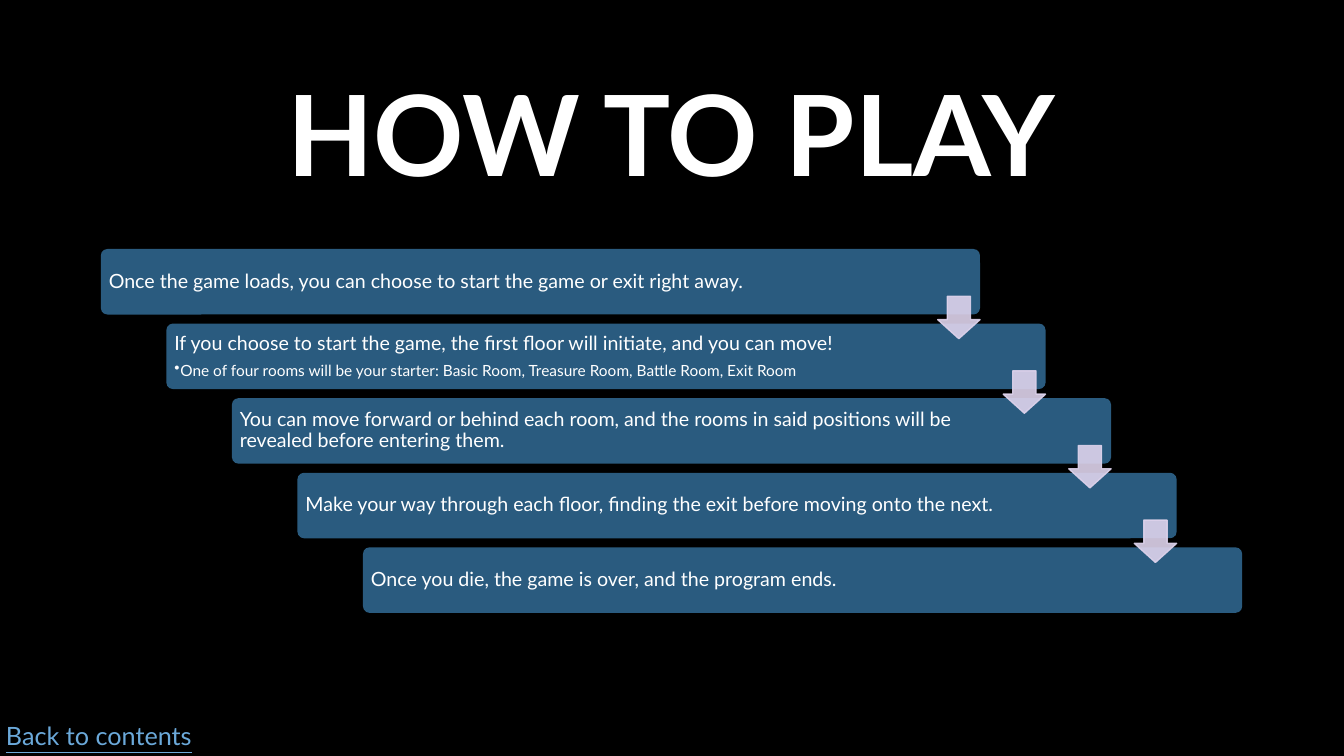
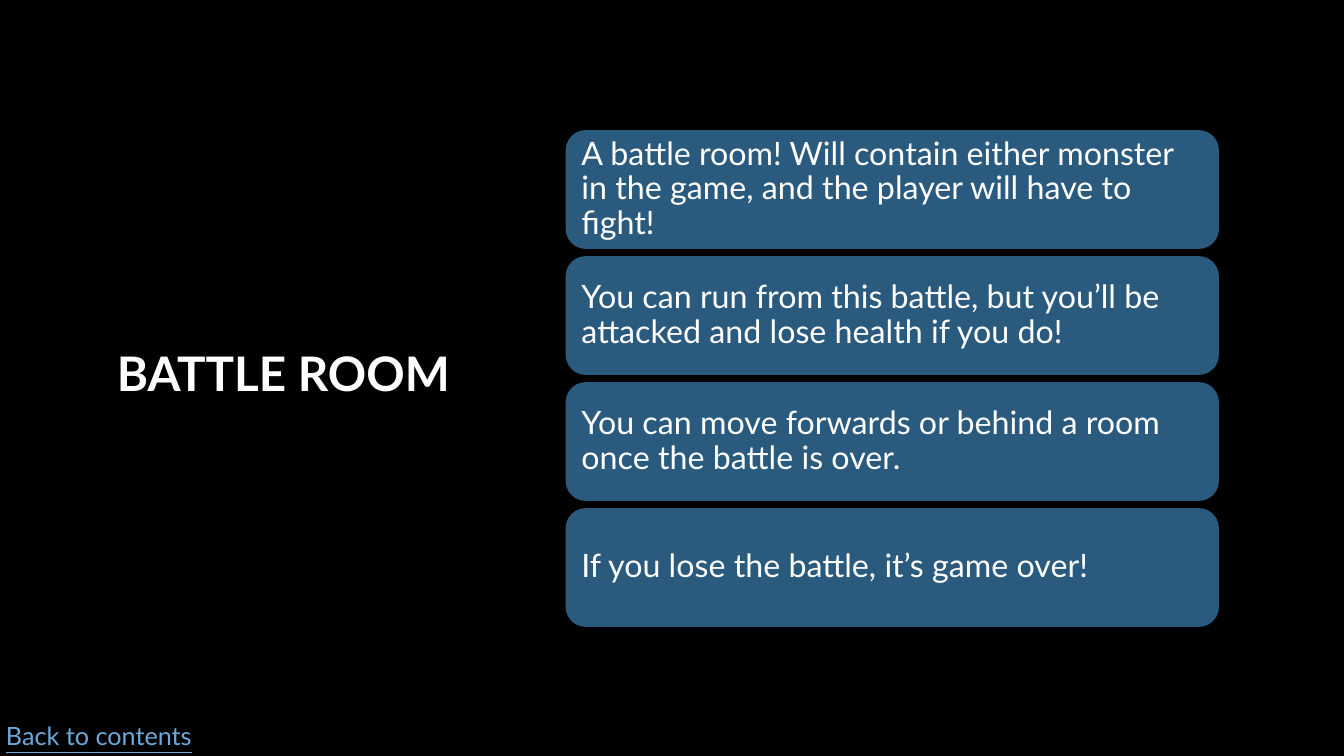
from lxml import etree
from pptx import Presentation
from pptx import util as u
from pptx.dml.color import RGBColor
from pptx.enum import shapes, text
from pptx.oxml.ns import qn

PX = 9144  # EMU in one px, 100 px to the inch
FONT = "Lato"
BLACK = RGBColor(0x00, 0x00, 0x00)
WHITE = RGBColor(0xFF, 0xFF, 0xFF)
PANEL_BLUE = RGBColor(0x2A, 0x5B, 0x7F)
ARROW_LILAC = RGBColor(0xDE, 0xD3, 0xEC)
LINK_BLUE = RGBColor(0x6B, 0xA9, 0xDA)
MIDDLE = text.MSO_ANCHOR.MIDDLE


def write(shape, content, size, color=WHITE, align=text.PP_ALIGN.LEFT,
          anchor=MIDDLE, spacing=0.9):
    """Fill a shape or text box with wrapped, uniformly styled text."""
    frame = shape.text_frame
    frame.word_wrap = True
    frame.vertical_anchor = anchor
    frame.text = content
    for paragraph in frame.paragraphs:
        paragraph.alignment = align
        paragraph.line_spacing = spacing
        for run in paragraph.runs:
            run.font.name = FONT
            run.font.size = u.Pt(size)
            run.font.color.rgb = color
    return frame


def add_panel(slide, left, top, width, height, content, size, inset, corner):
    """Add a blue rounded panel with left-aligned text."""
    panel = slide.shapes.add_shape(shapes.MSO_SHAPE.ROUNDED_RECTANGLE,
                                   left * PX, top * PX, width * PX, height * PX)
    panel.adjustments[0] = corner
    panel.shadow.inherit = False
    panel.fill.solid()
    panel.fill.fore_color.rgb = PANEL_BLUE
    panel.line.fill.background()
    frame = write(panel, content, size)
    frame.margin_left = frame.margin_right = inset * PX
    frame.margin_top = frame.margin_bottom = inset * PX
    return frame


presentation = Presentation()
presentation.slide_width = u.Inches(13.33)
presentation.slide_height = u.Inches(7.5)

# Shared background
background = presentation.slide_master.background.fill
background.solid()
background.fore_color.rgb = BLACK

# Titles and footers of both slides
TITLES = [
    ("HOW TO PLAY", 80, (100, 67, 1132, 145)),
    ("BATTLE ROOM", 34, (82, 67, 398, 613)),
]
slides = []
for title, size, place in TITLES:
    slide = presentation.slides.add_slide(presentation.slide_layouts[6])
    slides.append(slide)
    title_box = slide.shapes.add_textbox(*[length * PX for length in place])
    frame = write(title_box, title, size, align=text.PP_ALIGN.CENTER)
    frame.paragraphs[0].runs[0].font.bold = True

    footer = slide.shapes.add_textbox(0, 710 * PX, 210 * PX, 40 * PX)
    frame = write(footer, "Back to contents", 18, LINK_BLUE,
                  anchor=text.MSO_ANCHOR.TOP, spacing=1.0)
    frame.margin_left = 6 * PX
    frame.paragraphs[0].runs[0].font.underline = True

how_to_play, battle_room = slides

# How to play: staircase of steps
STEPS = [
    "Once the game loads, you can choose to start the game or exit right away.",
    "If you choose to start the game, the first floor will initiate, and you can move!\n"
    "One of four rooms will be your starter: Basic Room, Treasure Room, Battle Room, Exit Room",
    "You can move forward or behind each room, and the rooms in said positions will be "
    "revealed before entering them.",
    "Make your way through each floor, finding the exit before moving onto the next.",
    "Once you die, the game is over, and the program ends.",
]
STEP_LEFT, STEP_TOP, STEP_WIDTH, STEP_HEIGHT = 100, 247, 872, 65
SHIFT_X, SHIFT_Y = 65, 74
for index, step in enumerate(STEPS):
    frame = add_panel(how_to_play, STEP_LEFT + index * SHIFT_X,
                      STEP_TOP + index * SHIFT_Y, STEP_WIDTH, STEP_HEIGHT,
                      step, 14, 6, 0.1)
    frame.margin_right = 113 * PX
    for detail in frame.paragraphs[1:]:
        frame.paragraphs[0].space_after = u.Pt(6)
        properties = detail._p.get_or_add_pPr()
        properties.set("marL", str(6 * PX))
        properties.set("indent", str(-6 * PX))
        etree.SubElement(properties, qn("a:buChar")).set("char", "•")
        detail.runs[0].font.size = u.Pt(11)

# Arrows from each step to the next
ARROW = 42
for index in range(len(STEPS) - 1):
    left = STEP_LEFT + STEP_WIDTH - ARROW + index * SHIFT_X
    top = STEP_TOP + 47 + index * SHIFT_Y
    arrow = how_to_play.shapes.add_shape(shapes.MSO_SHAPE.DOWN_ARROW, left * PX,
                                         top * PX, ARROW * PX, ARROW * PX)
    arrow.adjustments[0] = 0.55
    arrow.adjustments[1] = 0.45
    arrow.shadow.inherit = False
    arrow.line.width = u.Pt(1)
    for fill in (arrow.fill, arrow.line.fill):
        fill.solid()
        fill.fore_color.rgb = ARROW_LILAC
    for color in arrow._element.spPr.iter(qn("a:srgbClr")):
        etree.SubElement(color, qn("a:alpha")).set("val", "90000")

# Battle room: stacked rules
RULES = [
    "A battle room! Will contain either monster in the game, and the player will have to fight!",
    "You can run from this battle, but you’ll be attacked and lose health if you do!",
    "You can move forwards or behind a room once the battle is over.",
    "If you lose the battle, it’s game over!",
]
for index, rule in enumerate(RULES):
    add_panel(battle_room, 561, 129 + index * 125, 648, 118, rule, 23, 10, 0.17)

presentation.save("out.pptx")
